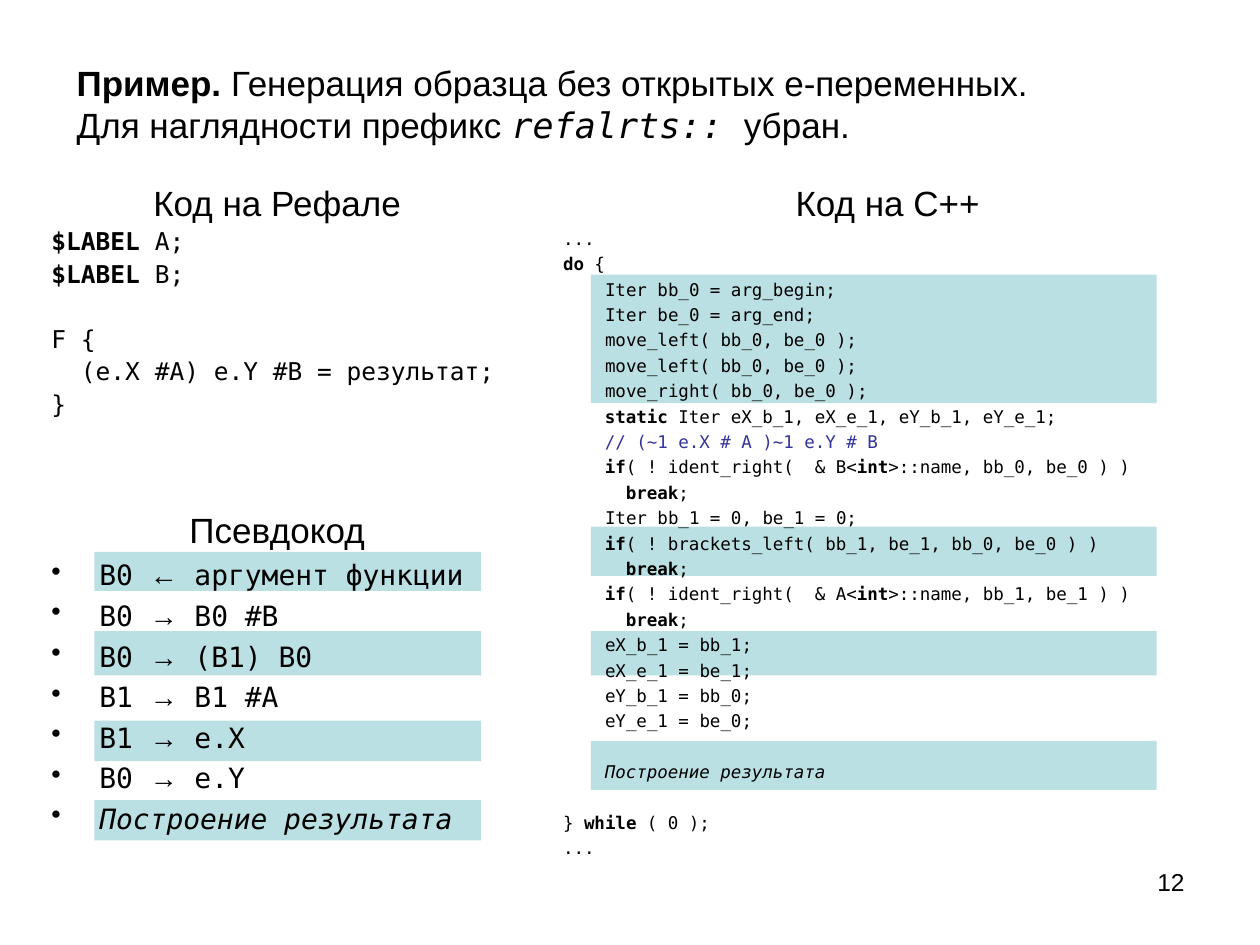
from dataclasses import dataclass, replace

from lxml import etree
from pptx import Presentation
from pptx.dml.color import RGBColor
from pptx.enum.shapes import MSO_SHAPE
from pptx.enum.text import MSO_ANCHOR, PP_ALIGN
from pptx.oxml.ns import qn
from pptx.util import Inches, Pt

RECTANGLE = MSO_SHAPE.RECTANGLE
LEFT, CENTER, RIGHT = PP_ALIGN.LEFT, PP_ALIGN.CENTER, PP_ALIGN.RIGHT
TOP, MIDDLE = MSO_ANCHOR.TOP, MSO_ANCHOR.MIDDLE

SANS, MONO = "Arial", "DejaVu Sans Mono"
BLACK, COMMENT, HIGHLIGHT = "000000", "333399", "BBE0E3"
HANGING = 0.38


@dataclass(frozen=True)
class Run:
    text: str
    font: str = MONO
    bold: bool = False
    italic: bool = False
    color: str = BLACK


@dataclass(frozen=True)
class Line:
    runs: list[Run]
    size: float
    before: float = 0
    spacing: float = 1.0
    align: PP_ALIGN = LEFT
    hanging: float = HANGING
    bullet: bool = False


@dataclass(frozen=True)
class Box:
    left: float
    top: float
    width: float
    height: float


def rgb(hex_color: str) -> RGBColor:
    return RGBColor.from_string(hex_color)


def heading(text: str) -> Line:
    return Line([Run(text, SANS)], 20, before=5, align=CENTER)


def code_runs(code: str) -> list[Run]:
    """Split code into runs; asterisks enclose the bold keywords."""
    return [Run(part, bold=index % 2 == 1)
            for index, part in enumerate(code.split("*")) if part]


def rule_runs(rule: str) -> list[Run]:
    """Split a pseudocode rule so that its arrow is set in the sans font."""
    arrow = "←" if "←" in rule else "→"
    before, _, after = rule.partition(arrow)
    return [Run(before), Run(arrow, SANS), Run(after)]


def code_lines(blocks: list[list[list[Run]]], style: Line, gap: float) -> list[Line]:
    """Style blocks of code, with one line of extra space between blocks."""
    return [replace(style, runs=runs,
                    before=style.before + (gap if number and not row else 0))
            for number, block in enumerate(blocks)
            for row, runs in enumerate(block)]


def add_bullet(paragraph) -> None:
    properties = paragraph._p.get_or_add_pPr()
    bullet_color = etree.SubElement(properties, qn("a:buClr"))
    etree.SubElement(bullet_color, qn("a:srgbClr"), val=BLACK)
    etree.SubElement(properties, qn("a:buChar"), char="•")


def add_text(slide, box: Box, lines: list[Line], anchor: MSO_ANCHOR = TOP) -> None:
    frame = slide.shapes.add_textbox(Inches(box.left), Inches(box.top),
                                     Inches(box.width), Inches(box.height)).text_frame
    frame.word_wrap = True
    frame.vertical_anchor = anchor
    for number, line in enumerate(lines):
        paragraph = frame.add_paragraph() if number else frame.paragraphs[0]
        paragraph.alignment = line.align
        paragraph.space_before = Pt(line.before)
        paragraph.line_spacing = line.spacing
        properties = paragraph._p.get_or_add_pPr()
        properties.set("marL", str(Inches(line.hanging)))
        properties.set("indent", str(-Inches(line.hanging)))
        if line.bullet:
            add_bullet(paragraph)
        for part in line.runs:
            for row, text in enumerate(part.text.split("\n")):
                if row:
                    paragraph.add_line_break()
                run = paragraph.add_run()
                run.text = text
                run.font.name = part.font
                run.font.size = Pt(line.size)
                run.font.bold = part.bold
                run.font.italic = part.italic
                run.font.color.rgb = rgb(part.color)


def add_highlight(slide, box: Box) -> None:
    band = slide.shapes.add_shape(RECTANGLE, Inches(box.left), Inches(box.top),
                                  Inches(box.width), Inches(box.height))
    band.shadow.inherit = False
    band.fill.solid()
    band.fill.fore_color.rgb = rgb(HIGHLIGHT)
    band.line.fill.background()


TITLE = [
    Run("Пример. ", SANS, bold=True),
    Run("Генерация образца без открытых e-переменных.\n"
        "Для наглядности префикс ", SANS),
    Run("refalrts:: ", italic=True),
    Run("убран.", SANS),
]
RESULT = Run("Построение результата", italic=True)

REFAL = [
    [code_runs(code) for code in ("*$LABEL* A;", "*$LABEL* B;")],
    [code_runs(code) for code in ("F {", "  (e.X #A) e.Y #B = результат;", "}")],
]
RULES = ["B0 ← аргумент функции", "B0 → B0 #B", "B0 → (B1) B0",
         "B1 → B1 #A", "B1 → e.X", "B0 → e.Y"]

CPP_START = [
    "...",
    "*do* {",
    "    Iter bb_0 = arg_begin;",
    "    Iter be_0 = arg_end;",
    "    move_left( bb_0, be_0 );",
    "    move_left( bb_0, be_0 );",
    "    move_right( bb_0, be_0 );",
    "    *static* Iter eX_b_1, eX_e_1, eY_b_1, eY_e_1;",
]
CPP_MATCH = [
    "    *if*( ! ident_right(  & B<*int*>::name, bb_0, be_0 ) )",
    "      *break*;",
    "    Iter bb_1 = 0, be_1 = 0;",
    "    *if*( ! brackets_left( bb_1, be_1, bb_0, be_0 ) )",
    "      *break*;",
    "    *if*( ! ident_right(  & A<*int*>::name, bb_1, be_1 ) )",
    "      *break*;",
    "    eX_b_1 = bb_1;",
    "    eX_e_1 = be_1;",
    "    eY_b_1 = bb_0;",
    "    eY_e_1 = be_0;",
]
CPP = [
    [*map(code_runs, CPP_START),
     [Run("    "), Run("// (~1 e.X # A )~1 e.Y # B", color=COMMENT)],
     *map(code_runs, CPP_MATCH)],
    [[Run("    "), RESULT]],
    [code_runs(code) for code in ("} *while* ( 0 );", "...")],
]

# (top, height) of each band
RULE_BANDS = [(4.38, 0.31), (5.01, 0.35), (5.72, 0.32), (6.35, 0.32)]
CPP_BANDS = [(2.18, 1.02), (4.18, 0.39), (5.01, 0.35), (5.88, 0.39)]


def main() -> None:
    presentation = Presentation()
    presentation.slide_width, presentation.slide_height = Inches(10), Inches(7.5)
    slide = presentation.slides.add_slide(presentation.slide_layouts[6])

    add_text(slide, Box(7.17, 6.83, 2.33, 0.52),
             [Line([Run("12", SANS)], 14, align=RIGHT, hanging=0)])
    add_text(slide, Box(0.51, 0.44, 9, 0.77), [Line(TITLE, 20, hanging=0)], MIDDLE)

    refal_style = Line([], 14, before=3.5, spacing=0.9)
    add_text(slide, Box(0.31, 1.39, 3.78, 2.13),
             [heading("Код на Рефале"), *code_lines(REFAL, refal_style, gap=18.5)])

    for rule_band, cpp_band in zip(RULE_BANDS, CPP_BANDS):
        add_highlight(slide, Box(0.75, rule_band[0], 3.07, rule_band[1]))
        add_highlight(slide, Box(4.69, cpp_band[0], 4.49, cpp_band[1]))

    cpp_style = Line([], 10, before=2.5)
    add_text(slide, Box(4.37, 1.39, 5.35, 5.49),
             [heading("Код на C++"), *code_lines(CPP, cpp_style, gap=14.5)])

    rules = [*map(rule_runs, RULES), [RESULT]]
    add_text(slide, Box(0.31, 3.99, 3.78, 2.69),
             [heading("Псевдокод"),
              *(Line(runs, 16, before=4, bullet=True) for runs in rules)])

    presentation.save("out.pptx")


if __name__ == "__main__":
    main()
